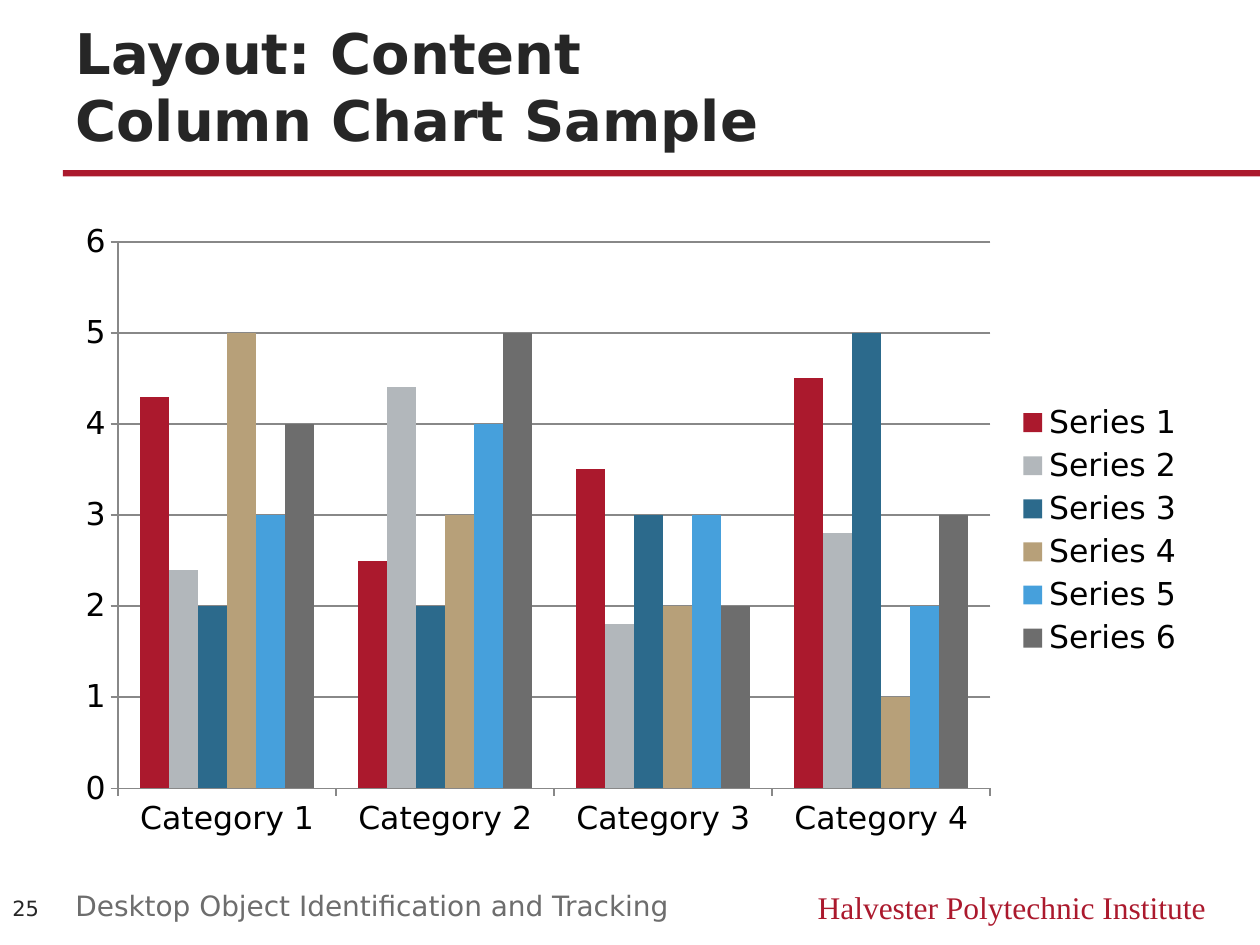
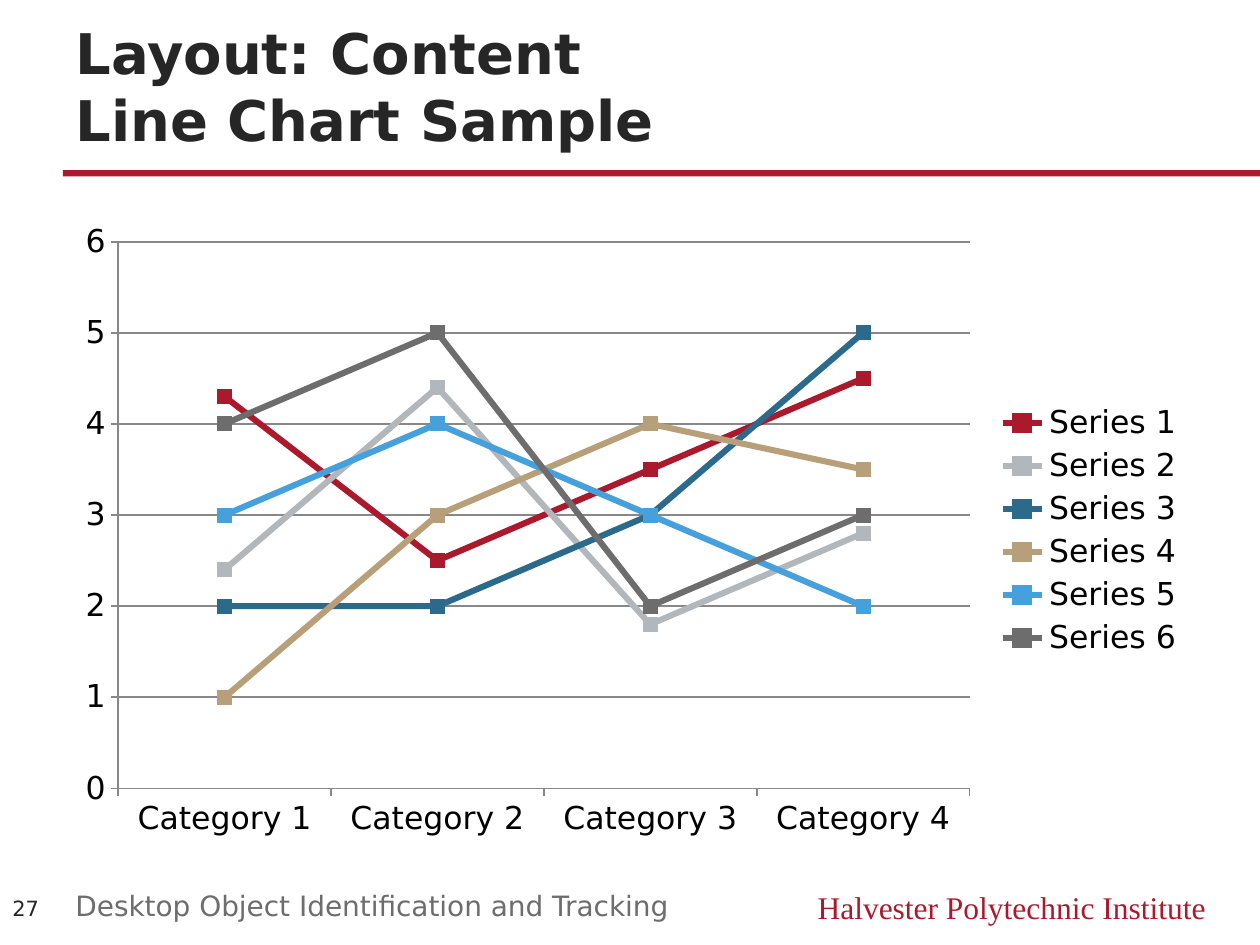
"""Build two chart sample slides with a shared title, rule and footer."""
import dataclasses

import pptx
import pptx.chart.data
import pptx.dml.color
import pptx.enum.chart
import pptx.enum.shapes
import pptx.enum.text
import pptx.util

Inches = pptx.util.Inches
Pt = pptx.util.Pt
Align = pptx.enum.text.PP_ALIGN
Anchor = pptx.enum.text.MSO_ANCHOR
ChartType = pptx.enum.chart.XL_CHART_TYPE


@dataclasses.dataclass(frozen=True)
class Theme:
    sans: str = "DejaVu Sans"
    serif: str = "Times New Roman"
    accent: str = "AB192D"
    ink: str = "262626"
    muted: str = "6D6D6D"
    chart_text: str = "000000"
    grid: str = "888888"
    series: tuple = ("AB192D", "B2B7BB", "2C6A8C", "B7A079", "46A0DC", "6D6D6D")
    title_size: int = 32
    body_size: int = 18
    footer_size: int = 16
    number_size: int = 12
    axis_width: float = 1
    line_width: float = 3.5
    marker_size: int = 8


FOOTER = "Desktop Object Identification and Tracking"
INSTITUTE = "Halvester Polytechnic Institute"
CATEGORIES = [f"Category {number}" for number in range(1, 5)]
COLUMN_VALUES = [
    (4.3, 2.5, 3.5, 4.5),
    (2.4, 4.4, 1.8, 2.8),
    (2, 2, 3, 5),
    (5, 3, 2, 1),
    (3, 4, 3, 2),
    (4, 5, 2, 3),
]
LINE_VALUES = COLUMN_VALUES[:3] + [(1, 3, 4, 3.5)] + COLUMN_VALUES[4:]


def rgb(color):
    return pptx.dml.color.RGBColor.from_string(color)


def set_fill(fill, color):
    fill.solid()
    fill.fore_color.rgb = rgb(color)


def set_line(line, color, width):
    line.color.rgb = rgb(color)
    line.width = Pt(width)


def set_font(font, name, size, color, bold=False):
    font.name = name
    font.size = Pt(size)
    font.color.rgb = rgb(color)
    font.bold = bold


class Deck:
    def __init__(self, theme):
        self.theme = theme
        self.presentation = pptx.Presentation()
        self.presentation.slide_width = Inches(10)
        self.presentation.slide_height = Inches(7.5)
        self.slide = None

    def text(self, text, box, size, color, font=None, bold=False,
             align=Align.LEFT, anchor=Anchor.TOP):
        shape = self.slide.shapes.add_textbox(*map(Inches, box))
        frame = shape.text_frame
        frame.word_wrap = True
        frame.vertical_anchor = anchor
        frame.text = text
        for paragraph in frame.paragraphs:
            paragraph.alignment = align
            for run in paragraph.runs:
                set_font(run.font, font or self.theme.sans, size, color, bold)

    def rule(self, box):
        shape = self.slide.shapes.add_shape(
            pptx.enum.shapes.MSO_SHAPE.RECTANGLE, *map(Inches, box))
        shape.shadow.inherit = False
        set_fill(shape.fill, self.theme.accent)
        shape.line.fill.background()

    def add_slide(self, title, number):
        theme = self.theme
        layout = self.presentation.slide_layouts[6]
        self.slide = self.presentation.slides.add_slide(layout)
        self.rule((0.5, 1.35, 9.5, 0.05))
        self.text(INSTITUTE, (6, 7, 3.67, 0.4), theme.body_size, theme.accent,
                  font=theme.serif, align=Align.RIGHT)
        self.text(title, (0.5, 0.38, 9, 0.88), theme.title_size, theme.ink,
                  bold=True, anchor=Anchor.BOTTOM)
        self.text(FOOTER, (0.5, 7, 5.58, 0.33), theme.footer_size, theme.muted)
        self.text(str(number), (0, 6.99, 0.5, 0.43), theme.number_size,
                  theme.ink, anchor=Anchor.MIDDLE)

    def chart(self, chart_type, series_values):
        theme = self.theme
        data = pptx.chart.data.CategoryChartData()
        data.categories = CATEGORIES
        for number, values in enumerate(series_values, 1):
            data.add_series(f"Series {number}", values)
        box = map(Inches, (0.5, 1.67, 9, 5.08))
        chart = self.slide.shapes.add_chart(chart_type, *box, data).chart
        chart.has_title = False
        set_font(chart.font, theme.sans, theme.body_size, theme.chart_text)
        chart.has_legend = True
        chart.legend.position = pptx.enum.chart.XL_LEGEND_POSITION.RIGHT
        chart.legend.include_in_layout = False
        self.style_axes(chart)
        plot = chart.plots[0]
        plot.vary_by_categories = False
        if chart_type == ChartType.COLUMN_CLUSTERED:
            plot.gap_width = 150
            plot.overlap = 0
        for series, color in zip(plot.series, theme.series):
            if chart_type == ChartType.LINE_MARKERS:
                self.style_line_series(series, color)
            else:
                set_fill(series.format.fill, color)

    def style_axes(self, chart):
        theme = self.theme
        value_axis = chart.value_axis
        value_axis.minimum_scale = 0
        value_axis.maximum_scale = 6
        value_axis.major_unit = 1
        value_axis.has_major_gridlines = True
        set_line(value_axis.major_gridlines.format.line, theme.grid, theme.axis_width)
        for axis in (chart.category_axis, value_axis):
            axis.major_tick_mark = pptx.enum.chart.XL_TICK_MARK.OUTSIDE
            axis.minor_tick_mark = pptx.enum.chart.XL_TICK_MARK.NONE
            set_line(axis.format.line, theme.grid, theme.axis_width)

    def style_line_series(self, series, color):
        series.smooth = False
        set_line(series.format.line, color, self.theme.line_width)
        marker = series.marker
        marker.style = pptx.enum.chart.XL_MARKER_STYLE.SQUARE
        marker.size = self.theme.marker_size
        set_fill(marker.format.fill, color)
        marker.format.line.color.rgb = rgb(color)


def main():
    deck = Deck(Theme())
    deck.add_slide("Layout: Content\vColumn Chart Sample", 25)
    deck.chart(ChartType.COLUMN_CLUSTERED, COLUMN_VALUES)
    deck.add_slide("Layout: Content\vLine Chart Sample", 27)
    deck.chart(ChartType.LINE_MARKERS, LINE_VALUES)
    deck.presentation.save("out.pptx")


if __name__ == "__main__":
    main()
